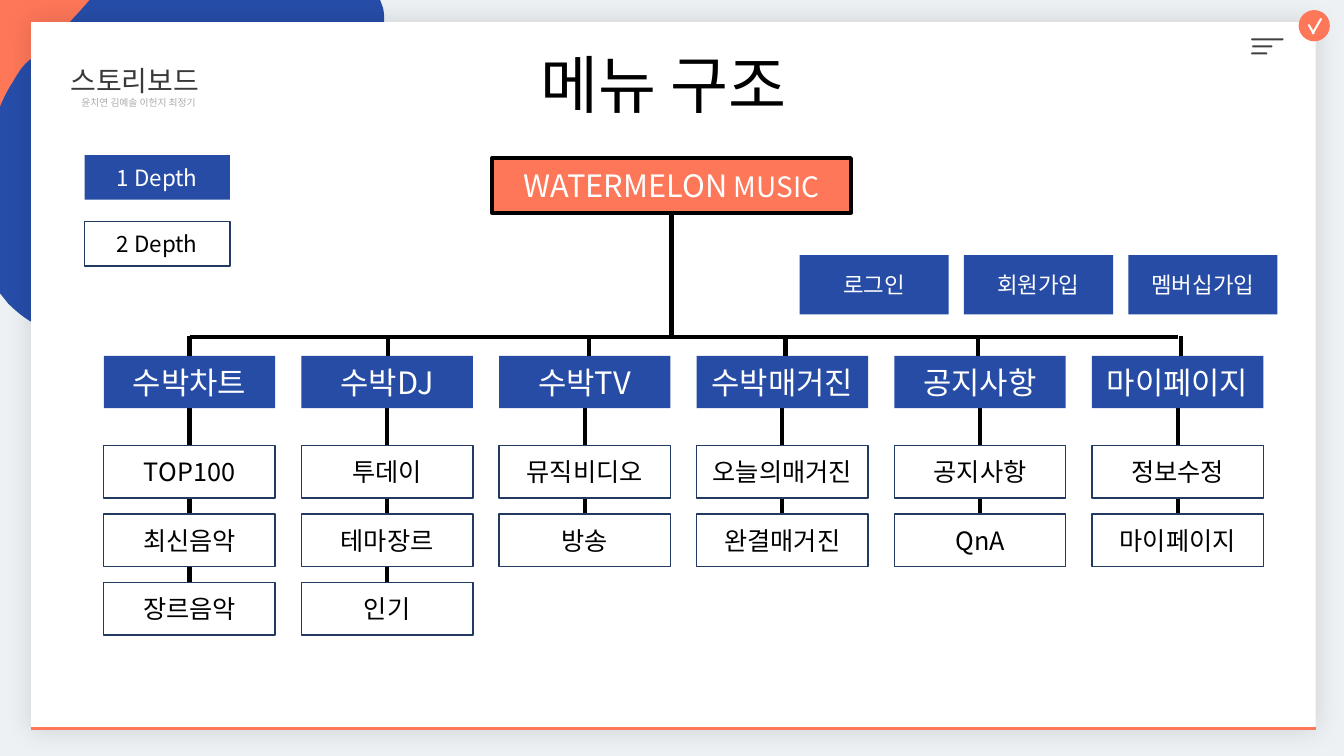
from lxml import etree
from pptx import Presentation
from pptx.dml.color import RGBColor
from pptx.enum import shapes, text
from pptx.oxml import ns
from pptx.util import Inches, Pt

FONT = "Noto Sans CJK KR"
BLUE, CORAL, WHITE, BLACK = "264CA6", "FE7759", "FFFFFF", "000000"
NAVY, GRAY = "223961", "404040"
RECT = shapes.MSO_SHAPE.RECTANGLE
TOP, BOTTOM = 0, 2

HEADING = {"fill": BLUE, "color": WHITE, "size": 22}
ITEM = {"fill": WHITE, "line": NAVY, "color": BLACK, "size": 18}
# Heading, middle of its stub, items
MENU = [
    ("수박차트", 1.88, ["TOP100", "최신음악", "장르음악"]),
    ("수박DJ", 3.85, ["투데이", "테마장르", "인기"]),
    ("수박TV", 5.84, ["뮤직비디오", "방송"]),
    ("수박매거진", 7.79, ["오늘의매거진", "완결매거진"]),
    ("공지사항", 9.7, ["공지사항", "QnA"]),
    ("마이페이지", 11.71, ["정보수정", "마이페이지"]),
]
MENU_LEFT, MENU_PITCH, BOX_WIDTH, BOX_HEIGHT = 1.03, 1.96, 1.7, 0.52
HEADING_TOP, ITEM_TOP, ITEM_PITCH, BUS_Y = 3.53, 4.42, 0.68, 3.34

# Each outline: start point, then line points (2 numbers) or cubic curves (6 numbers)
CORAL_BLOB = [
    (0, 0), (1.77, 0), (1.78, 0.03), (1.79, 0.06, 1.79, 0.08, 1.79, 0.11),
    (1.76, 0.55, 0.72, 1.5, 0.3, 1.81), (0.05, 2, 0.03, 2.02, 0, 2),
]
BLUE_BLOB = [
    (0.89, 0), (3.77, 0), (3.8, 0.08), (3.81, 0.13, 3.81, 0.17, 3.81, 0.21),
    (3.77, 0.85, 2.21, 2.27, 1.6, 2.73), (0.99, 3.19, 1.47, 3.32, 0.84, 3.33),
    (0.45, 3.33, 0.23, 3.16, 0.08, 3.01), (0, 2.91), (0, 1.06),
    (0.04, 0.96, 0.09, 0.87, 0.13, 0.81), (0.27, 0.56, 0.31, 0.61, 0.44, 0.48),
    (0.56, 0.36, 0.64, 0.28, 0.82, 0.08),
]


def rgb(value):
    return RGBColor.from_string(value)


def set_values(target, values):
    for name, value in values.items():
        setattr(target, name, value)


def paint(shape, fill, line=None, width=1):
    shape.shadow.inherit = False
    shape.fill.solid()
    shape.fill.fore_color.rgb = rgb(fill)
    if line:
        shape.line.color.rgb = rgb(line)
        shape.line.width = Pt(width)
    else:
        shape.line.fill.background()


def add_run(paragraph, words, size, color):
    run = paragraph.add_run()
    run.text = words
    set_values(run.font, {"name": FONT, "size": Pt(size)})
    run.font.color.rgb = rgb(color)
    properties = run.font._element
    etree.SubElement(properties, ns.qn("a:ea"), typeface=FONT)


def add_plain(slide, kind, at, fill, line=None, width=1):
    shape = slide.shapes.add_shape(kind, *map(Inches, at))
    paint(shape, fill, line, width)
    return shape


def add_bar(slide, at, fill, rotation=0):
    bar = add_plain(slide, shapes.MSO_SHAPE.ROUNDED_RECTANGLE, at, fill)
    bar.adjustments[0] = 0.5
    bar.rotation = rotation


def add_box(slide, words, at, fill, color, size, line=None, width=1):
    box = add_plain(slide, RECT, at, fill, line, width)
    box.text_frame.vertical_anchor = text.MSO_ANCHOR.MIDDLE
    paragraph = box.text_frame.paragraphs[0]
    paragraph.alignment = text.PP_ALIGN.CENTER
    add_run(paragraph, words, size, color)
    return box


def add_line(slide, start, end, color=BLACK, width=3):
    line = slide.shapes.add_connector(
        shapes.MSO_CONNECTOR.STRAIGHT, *map(Inches, (*start, *end)))
    line.line.color.rgb = rgb(color)
    line.line.width = Pt(width)
    etree.SubElement(line.element.spPr, ns.qn("a:effectLst"))
    return line


def add_blob(slide, outline, fill):
    """A closed outline that touches the slide's top and left edges."""
    vertices = [tuple(map(Inches, part[-2:])) for part in outline]
    builder = slide.shapes.build_freeform(*vertices[0])
    builder.add_line_segments(vertices[1:], close=True)
    blob = builder.convert_to_shape()
    segments = list(blob.element.iter(ns.qn("a:lnTo")))
    for segment, part in zip(segments, outline[1:]):
        if len(part) == 6:
            segment.tag = ns.qn("a:cubicBezTo")
            segment.clear()
            for x, y in zip(part[::2], part[1::2]):
                etree.SubElement(segment, ns.qn("a:pt"),
                                 x=str(Inches(x)), y=str(Inches(y)))
    paint(blob, fill)


def add_card(slide):
    card = add_plain(slide, RECT, (0.31, 0.22, 12.74, 7.02), WHITE)
    effects = card.element.spPr.find(ns.qn("a:effectLst"))
    shadow = etree.SubElement(effects, ns.qn("a:outerShdw"),
                              blurRad=str(Pt(20)), algn="ctr", rotWithShape="0")
    color = etree.SubElement(shadow, ns.qn("a:srgbClr"), val=BLACK)
    etree.SubElement(color, ns.qn("a:alpha"), val="12000")
    frame = card.text_frame
    set_values(frame, {"margin_top": Inches(0.24),
                       "vertical_anchor": text.MSO_ANCHOR.TOP})
    heading, authors = frame.paragraphs[0], frame.add_paragraph()
    heading.line_spacing = 1.5
    add_run(heading, "스토리보드", 20, "3B3838")
    add_run(authors, "윤치연 김예솔 이헌지 최정기", 7, "AFABAB")
    for paragraph, indent in ((heading, 0.29), (authors, 0.4)):
        paragraph.alignment = text.PP_ALIGN.LEFT
        paragraph._p.get_or_add_pPr().set("marL", str(Inches(indent)))


def add_icons(slide):
    for row, (left, width) in enumerate([(12.41, 0.32), (12.42, 0.2), (12.41, 0.16)]):
        add_bar(slide, (left, 0.38 + 0.07 * row, width, 0.02), GRAY)
    add_line(slide, (0.31, 7.23), (13.05, 7.23), CORAL, 2)
    add_plain(slide, shapes.MSO_SHAPE.OVAL, (12.88, 0.1, 0.31, 0.31), CORAL)
    add_bar(slide, (12.97, 0.25, 0.18, 0.02), WHITE, 120)
    add_bar(slide, (12.95, 0.28, 0.11, 0.02), WHITE, 60)


def place_title(slide):
    title = slide.shapes.title
    set_values(title, {"left": Inches(5.2), "top": Inches(0.4),
                       "width": Inches(2.76), "height": Inches(0.85)})
    set_values(title.text_frame, {"word_wrap": False,
                                  "auto_size": text.MSO_AUTO_SIZE.NONE,
                                  "vertical_anchor": text.MSO_ANCHOR.TOP})
    paragraph = title.text_frame.paragraphs[0]
    set_values(paragraph, {"alignment": text.PP_ALIGN.CENTER, "line_spacing": 1.0})
    add_run(paragraph, "메뉴 구조", 45, BLACK)
    slide.shapes.element.append(title.element)  # bring in front of the card


def add_menu_column(slide, left, name, stub_x, items):
    """A heading with its items, a spine behind them and a stub up to the bus."""
    middle = left + BOX_WIDTH / 2
    heading = last = add_box(
        slide, name, (left, HEADING_TOP, BOX_WIDTH, BOX_HEIGHT), **HEADING)
    for row, item in enumerate(items):
        top = ITEM_TOP + ITEM_PITCH * row
        last = add_box(slide, item, (left, top, BOX_WIDTH, BOX_HEIGHT), **ITEM)
    spine = add_line(slide, (middle, HEADING_TOP), (middle, top + BOX_HEIGHT))
    spine.begin_connect(heading, TOP)
    spine.end_connect(last, BOTTOM)
    heading.element.addprevious(spine.element)
    stub = add_line(slide, (stub_x, HEADING_TOP), (stub_x, BUS_Y - 0.01))
    if abs(stub_x - middle) < 0.005:
        stub.begin_connect(heading, TOP)


def main():
    presentation = Presentation()
    presentation.slide_width, presentation.slide_height = Inches(13.33), Inches(7.5)
    slide = presentation.slides.add_slide(presentation.slide_layouts[5])
    slide.background.fill.solid()
    slide.background.fill.fore_color.rgb = rgb("EDF1F4")
    add_blob(slide, CORAL_BLOB, CORAL)
    add_blob(slide, BLUE_BLOB, "264DA8")
    add_card(slide)
    add_icons(slide)
    place_title(slide)

    root = add_box(slide, "WATERMELON", (4.88, 1.57, 3.56, 0.54),
                   CORAL, WHITE, 22, BLACK, 3)
    add_run(root.text_frame.paragraphs[0], " MUSIC", 20, WHITE)
    add_box(slide, "1 Depth", (0.84, 1.54, 1.44, 0.44), **{**HEADING, "size": 16})
    add_box(slide, "2 Depth", (0.84, 2.2, 1.44, 0.44), **{**ITEM, "size": 16})
    for column, name in enumerate(["로그인", "회원가입", "멤버십가입"]):
        at = (7.93 + 1.63 * column, 2.53, 1.48, 0.59)
        add_box(slide, name, at, **{**HEADING, "size": 16})

    for column, (name, stub_x, items) in enumerate(MENU):
        add_menu_column(slide, MENU_LEFT + MENU_PITCH * column, name, stub_x, items)
    bus_left = MENU_LEFT + BOX_WIDTH / 2
    bus_right = bus_left + MENU_PITCH * (len(MENU) - 1)
    add_line(slide, (bus_left, BUS_Y), (bus_right, BUS_Y))
    trunk = add_line(slide, (6.66, 2.11), (6.66, BUS_Y + 0.02))
    trunk.begin_connect(root, BOTTOM)
    presentation.save("out.pptx")


if __name__ == "__main__":
    main()
